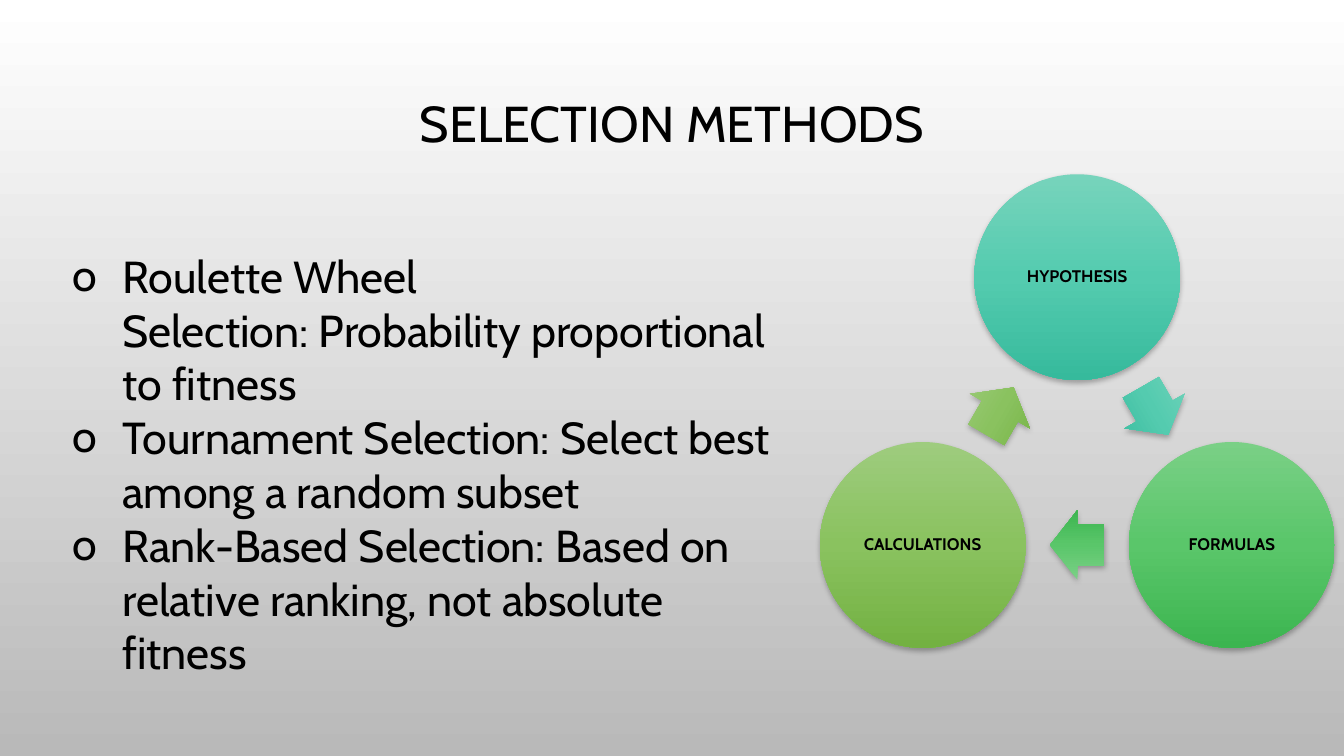
from copy import deepcopy
from dataclasses import dataclass
from math import cos, radians, sin

from lxml.etree import SubElement
from pptx import Presentation
from pptx.dml.color import RGBColor
from pptx.enum.shapes import MSO_SHAPE
from pptx.enum.text import MSO_ANCHOR, MSO_AUTO_SIZE, PP_ALIGN
from pptx.oxml.ns import qn
from pptx.util import Emu, Pt

FONT = "Cabin"
NO_BREAK_SPACE = chr(160)
COLORS = {
    "text": "000000",
    "shadow": "000000",
    "bg_top": "FFFFFF",
    "bg_bottom": "B9B9B9",
    "teal_light": "77D4BC", "teal_mid": "54CBAF", "teal_dark": "36BA9C",
    "green_light": "7AD086", "green_mid": "5AC66A", "green_dark": "3CB550",
    "lime_light": "9ECC7E", "lime_mid": "8AC25F", "lime_dark": "73B142",
}

# The cycle: circles on the corners of an equilateral triangle
CENTER_X, CENTER_Y, RADIUS = 1026, 434, 170
CIRCLE = 196
ARROW_W, ARROW_H = 52, 66


@dataclass(frozen=True)
class Stage:
    label: str
    hue: str
    angle: int  # clockwise from the top, in degrees


@dataclass(frozen=True)
class Method:
    name: str
    rule: str


STAGES = [
    Stage("HYPOTHESIS", "teal", 0),
    Stage("FORMULAS", "green", 120),
    Stage("CALCULATIONS", "lime", 240),
]
METHODS = [
    Method("Roulette Wheel Selection:", "Probability proportional to fitness"),
    Method("Tournament Selection:", "Select best among a random subset"),
    Method("Rank-Based Selection:", "Based on relative ranking, not absolute fitness"),
]


def px(n: float) -> Emu:
    return Emu(round(n * 9525))


def place(sp, x: float, y: float, w: int, h: int) -> None:
    sp.left, sp.top, sp.width, sp.height = px(x), px(y), px(w), px(h)


def add_run(p, text: str, size: int, bold: bool = False) -> None:
    r = p.add_run()
    r.text = text
    r.font.name = FONT
    r.font.size = Pt(size)
    r.font.bold = bold
    r.font.color.rgb = RGBColor.from_string(COLORS["text"])


def fill_gradient(fill, element, names: list[str]) -> None:
    """Fill from top to bottom with evenly spaced stops."""
    fill.gradient()
    fill.gradient_angle = 270
    stops = next(element.iter(qn("a:gsLst")))
    while len(stops) < len(names):
        stops.insert(1, deepcopy(stops[0]))
    for i, (stop, name) in enumerate(zip(fill.gradient_stops, names)):
        stop.position = i / (len(names) - 1)
        stop.color.rgb = RGBColor.from_string(COLORS[name])


def add_shadow(sp) -> None:
    sp.shadow.inherit = False
    effects = sp._element.spPr.find(qn("a:effectLst"))
    shadow = SubElement(effects, qn("a:outerShdw"), blurRad=str(Pt(4)),
                        dist=str(Pt(2)), dir="5400000", rotWithShape="0")
    color = SubElement(shadow, qn("a:srgbClr"), val=COLORS["shadow"])
    SubElement(color, qn("a:alpha"), val="28000")


def add_cycle_shape(slide, kind: MSO_SHAPE, x: float, y: float, w: int, h: int, hue: str):
    """Add a shaded shape centred on x, y."""
    sp = slide.shapes.add_shape(kind, px(x - w / 2), px(y - h / 2), px(w), px(h))
    fill_gradient(sp.fill, sp._element, [f"{hue}_{tone}" for tone in ("light", "mid", "dark")])
    sp.line.fill.background()
    add_shadow(sp)
    return sp


def add_stage(slide, stage: Stage) -> None:
    """Add a circle and the arrow halfway to the next circle."""
    turn = radians(stage.angle)
    sp = add_cycle_shape(slide, MSO_SHAPE.OVAL, CENTER_X + RADIUS * sin(turn),
                         CENTER_Y - RADIUS * cos(turn), CIRCLE, CIRCLE, stage.hue)
    tf = sp.text_frame
    tf.word_wrap = True
    tf.vertical_anchor = MSO_ANCHOR.MIDDLE
    tf.margin_left = tf.margin_right = tf.margin_top = tf.margin_bottom = px(2)
    p = tf.paragraphs[0]
    p.alignment = PP_ALIGN.CENTER
    p.line_spacing = 0.9
    add_run(p, stage.label, 12, bold=True)

    half = radians(stage.angle + 60)
    arrow = add_cycle_shape(slide, MSO_SHAPE.RIGHT_ARROW, CENTER_X + RADIUS / 2 * sin(half),
                            CENTER_Y - RADIUS / 2 * cos(half), ARROW_W, ARROW_H, stage.hue)
    arrow.adjustments[0], arrow.adjustments[1] = 0.6, 0.5
    arrow.rotation = stage.angle + 60


def add_title(slide) -> None:
    title = slide.shapes.title
    place(title, 96, 65, 1088, 168)
    tf = title.text_frame
    tf.auto_size = MSO_AUTO_SIZE.NONE
    tf.vertical_anchor = MSO_ANCHOR.MIDDLE
    tf.margin_bottom = px(62)
    p = tf.paragraphs[0]
    p.alignment = PP_ALIGN.CENTER
    p.line_spacing = 0.9
    add_run(p, "SELECTION METHODS", 36)


def add_methods(slide) -> None:
    body = slide.placeholders[1]
    place(body, 59, 232, 703, 372)
    tf = body.text_frame
    tf.word_wrap = True
    tf.auto_size = MSO_AUTO_SIZE.SHAPE_TO_FIT_TEXT
    tf.vertical_anchor = MSO_ANCHOR.TOP
    for i, method in enumerate(METHODS):
        p = tf.add_paragraph() if i else tf.paragraphs[0]
        p.alignment = PP_ALIGN.LEFT
        p.line_spacing = 1.0
        p.space_before = p.space_after = Pt(0)
        pPr = p._p.get_or_add_pPr()
        pPr.set("marL", str(px(48)))
        pPr.set("indent", str(px(-48)))
        SubElement(pPr, qn("a:buFont"), typeface=FONT)
        SubElement(pPr, qn("a:buChar"), char="o")
        add_run(p, method.name + NO_BREAK_SPACE + method.rule, 32)


def main() -> None:
    prs = Presentation()
    prs.slide_width, prs.slide_height = px(1280), px(720)
    slide = prs.slides.add_slide(prs.slide_layouts[1])
    fill_gradient(slide.background.fill, slide._element, ["bg_top", "bg_bottom"])
    add_title(slide)
    add_methods(slide)
    for stage in STAGES:
        add_stage(slide, stage)
    prs.save("out.pptx")


if __name__ == "__main__":
    main()
